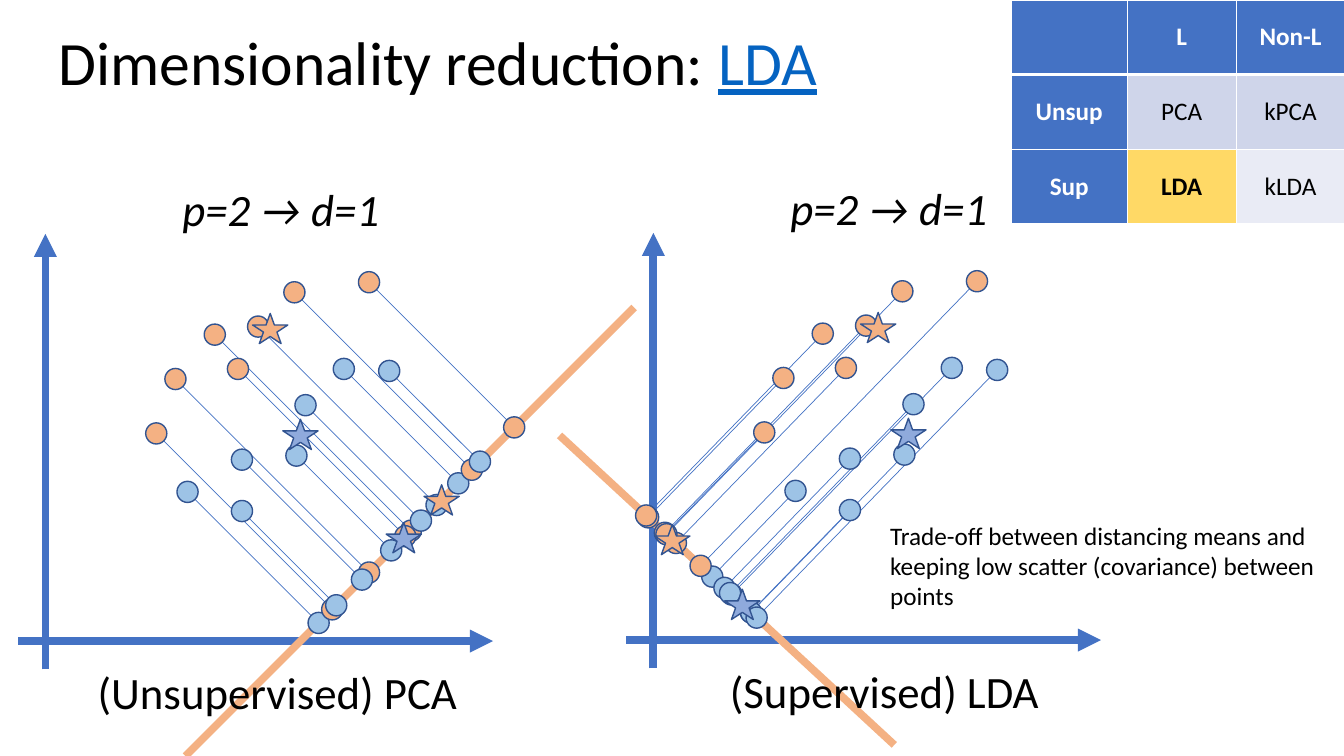
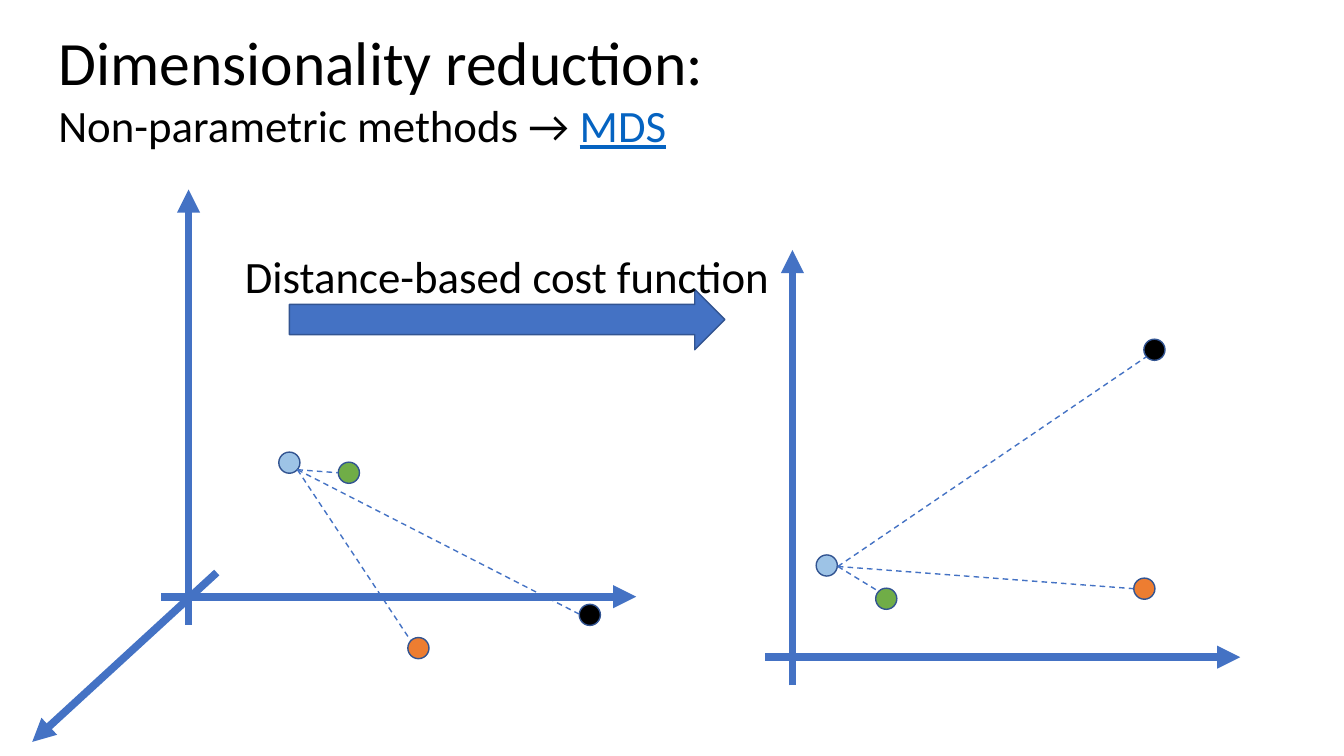
from lxml import etree
from pptx import Presentation
from pptx.dml.color import RGBColor
from pptx.enum import dml, shapes, text
from pptx.oxml import ns
from pptx.util import Inches, Pt

FONT = "Calibri"
BLACK, WHITE = "000000", "FFFFFF"
BLUE, EDGE, LINK = "4472C4", "325491", "0563C1"
SKY, PEACH, STAR, GOLD = "9DC3E6", "F4B183", "8FAADC", "FFD966"
GREEN, ORANGE = "70AD47", "ED7D31"
KIND = shapes.MSO_SHAPE
DOT = 0.21

# Centres of the samples: x, y, class colour
DOTS = [
    (1.86, 4.88, SKY), (1.55, 4.3, PEACH), (2.4, 5.07, SKY),
    (1.74, 3.76, PEACH), (2.4, 4.56, SKY), (2.13, 3.32, PEACH),
    (2.36, 3.66, PEACH), (2.94, 4.52, SKY), (2.56, 3.24, PEACH),
    (3.41, 3.66, SKY), (2.92, 2.9, PEACH), (3.86, 3.68, SKY),
    (3.66, 2.8, PEACH), (3.03, 4.02, SKY),
]
MEANS = [(2.98, 4.31, STAR), (2.68, 3.26, PEACH)]


def rgb(code):
    return RGBColor.from_string(code)


# Shared drawing tools
def style(run, size, color=BLACK, bold=False, italic=False):
    font = run.font
    font.name, font.size, font.color.rgb = FONT, Pt(size), rgb(color)
    font.bold, font.italic = bold, italic


def label(slide, x, y, w, h, words, size=32, italic=False):
    frame = slide.shapes.add_textbox(
        Inches(x), Inches(y), Inches(w), Inches(h)).text_frame
    frame.word_wrap = False
    frame.text = words
    for run in frame.paragraphs[0].runs:
        style(run, size, italic=italic)
    return frame


def title(slide, w, h, words, link, sub=None):
    frame = label(slide, 0.48, 0.19, w, h, words, 44)
    para, size = frame.paragraphs[0], 44
    if sub:
        para, size = frame.add_paragraph(), 32
        para.text = sub
        style(para.runs[0], size)
    run = para.add_run()
    run.text = link
    style(run, size, LINK)
    run.font.underline = True


def line(slide, start, end, color=BLUE, width=0.5, head=False, dash=False):
    ends = [Inches(v) for v in (*start, *end)]
    link = slide.shapes.add_connector(shapes.MSO_CONNECTOR.STRAIGHT, *ends)
    link.line.color.rgb, link.line.width = rgb(color), Pt(width)
    if dash:
        link.line.dash_style = dml.MSO_LINE.DASH
    if head:
        etree.SubElement(link.line._get_or_add_ln(), ns.qn("a:tailEnd"),
                         type="triangle")
    etree.SubElement(link._element.spPr, ns.qn("a:effectLst"))


def shape(slide, kind, x, y, w, h, color):
    item = slide.shapes.add_shape(
        kind, Inches(x), Inches(y), Inches(w), Inches(h))
    item.shadow.inherit = False
    item.fill.solid()
    item.fill.fore_color.rgb = rgb(color)
    item.line.color.rgb, item.line.width = rgb(EDGE), Pt(1)


def mark(slide, kind, x, y, color):
    w, h = (0.35, 0.3) if kind == KIND.STAR_5_POINT else (DOT, DOT)
    shape(slide, kind, x - w / 2, y - h / 2, w, h, color)


def axes(slide, x, y):
    line(slide, (x + 0.27, y + 4.32), (x + 0.27, y), width=5.5, head=True)
    line(slide, (x, y + 4.04), (x + 4.71, y + 4.04), width=5.5, head=True)


# Table of methods
def border(cell, side, width):
    edge = etree.SubElement(cell._tc.get_or_add_tcPr(),
                            ns.qn("a:ln" + side), w=str(Pt(width)))
    fill = etree.SubElement(edge, ns.qn("a:solidFill"))
    etree.SubElement(fill, ns.qn("a:srgbClr"), val=WHITE)


def methods(slide, x, y):
    rows = [("", "L", "Non-L"), ("Unsup", "PCA", "kPCA"),
            ("Sup", "LDA", "kLDA")]
    grid = slide.shapes.add_table(
        3, 3, Inches(x), Inches(y), Inches(3.31), Inches(2.21)).table
    for col, w in zip(grid.columns, (1.15, 1.08, 1.08)):
        col.width = Inches(w)
    for i, row in enumerate(rows):
        grid.rows[i].height = Inches(0.74)
        for j, words in enumerate(row):
            cell = grid.cell(i, j)
            lead, pick = i == 0 or j == 0, words == "LDA"
            for side in "LRTB":
                thick = (i, side) in ((0, "B"), (1, "T"))
                border(cell, side, 3 if thick else 1)
            back = BLUE if lead else GOLD if pick else (
                "CFD5EA" if i == 1 else "E9EBF5")
            cell.fill.solid()
            cell.fill.fore_color.rgb = rgb(back)
            cell.vertical_anchor = text.MSO_ANCHOR.MIDDLE
            para = cell.text_frame.paragraphs[0]
            para.text = words
            para.alignment = text.PP_ALIGN.CENTER
            for run in para.runs:
                style(run, 18, WHITE if lead else BLACK, lead or pick)


# Scatter plot whose samples are projected on a line
def foot(spot, start, end, ray):
    u, v = end[0] - start[0], end[1] - start[1]
    a, b = ray
    step = ((start[0] - spot[0]) * v - (start[1] - spot[1]) * u) / (
        a * v - b * u)
    return spot[0] + step * a, spot[1] + step * b


def scatter(slide, x, y, start, end, ray, odd=None):
    def move(points):
        return [(x + p[0], y + p[1], *p[2:]) for p in points]

    start, end = move([start, end])
    dots, means = move(DOTS), move(MEANS)
    feet = [foot(dot, start, end, ray) for dot in dots]
    for dot, spot in zip(dots, feet):
        line(slide, dot[:2], spot)
    axes(slide, x + 0.18, y + 2.32)
    for dot in dots:
        mark(slide, KIND.OVAL, *dot)
    label(slide, x + 1.71, y + 1.75, 2.21, 0.64, "p=2 → d=1", italic=True)
    line(slide, start, end, PEACH, 5.5)
    for i, spot in enumerate(feet):
        mark(slide, KIND.OVAL, *spot, SKY if i == odd else dots[i][2])
    for mean in means:
        mark(slide, KIND.STAR_5_POINT, *mean)
        mark(slide, KIND.STAR_5_POINT, *foot(mean, start, end, ray), mean[2])


def lda(slide):
    title(slide, 7.81, 0.84, "Dimensionality reduction: ", "LDA")
    methods(slide, 10.03, 0)
    scatter(slide, 0, 0, (1.84, 7.5), (6.29, 3.05), (1, 1), odd=8)
    scatter(slide, 6.03, -0.01, (-0.48, 4.33), (2.84, 7.4), (-1, 1.03))
    label(slide, 8.73, 5.11, 4.46, 1.01,
          "Trade-off between distancing means and\v"
          "keeping low scatter (covariance) between\vpoints", 18)
    label(slide, 0.87, 6.55, 3.81, 0.64, "(Unsupervised) PCA")
    label(slide, 7.14, 6.54, 3.3, 0.64, "(Supervised) LDA")


# Plot of distances from one sample to the others
def space(slide, x, y, dots, hub, ends, depth=False):
    axes(slide, x, y)
    if depth:
        line(slide, (x + 0.55, y + 3.8), (x - 1.28, y + 5.48),
             width=5.5, head=True)
    for (dx, dy), color in zip(dots, (SKY, GREEN, ORANGE, BLACK)):
        mark(slide, KIND.OVAL, x + dx, y + dy, color)
    for dx, dy in ends:
        line(slide, (x + hub[0], y + hub[1]), (x + dx, y + dy),
             width=1, dash=True)


def mds(slide):
    title(slide, 6.82, 1.38, "Dimensionality reduction:", "MDS",
          "Non-parametric methods → ")
    space(slide, 1.6, 1.88,
          [(1.27, 2.71), (1.86, 2.81), (2.55, 4.55), (4.25, 4.22)],
          (1.35, 2.78), [(1.75, 2.81), (2.47, 4.47), (4.14, 4.21)], True)
    space(slide, 7.59, 2.48,
          [(0.61, 3.13), (1.2, 3.46), (3.76, 3.36), (3.86, 0.99)],
          (0.72, 3.14), [(1.13, 3.39), (3.65, 3.36), (3.78, 1.06)])
    shape(slide, KIND.RIGHT_ARROW, 2.87, 2.87, 4.32, 0.6, BLUE)
    label(slide, 2.33, 2.42, 5.56, 0.64, "Distance-based cost function")


def main():
    deck = Presentation()
    deck.slide_width, deck.slide_height = Inches(13.33), Inches(7.5)
    for build in (lda, mds):
        build(deck.slides.add_slide(deck.slide_layouts[6]))
    deck.save("out.pptx")


if __name__ == "__main__":
    main()
